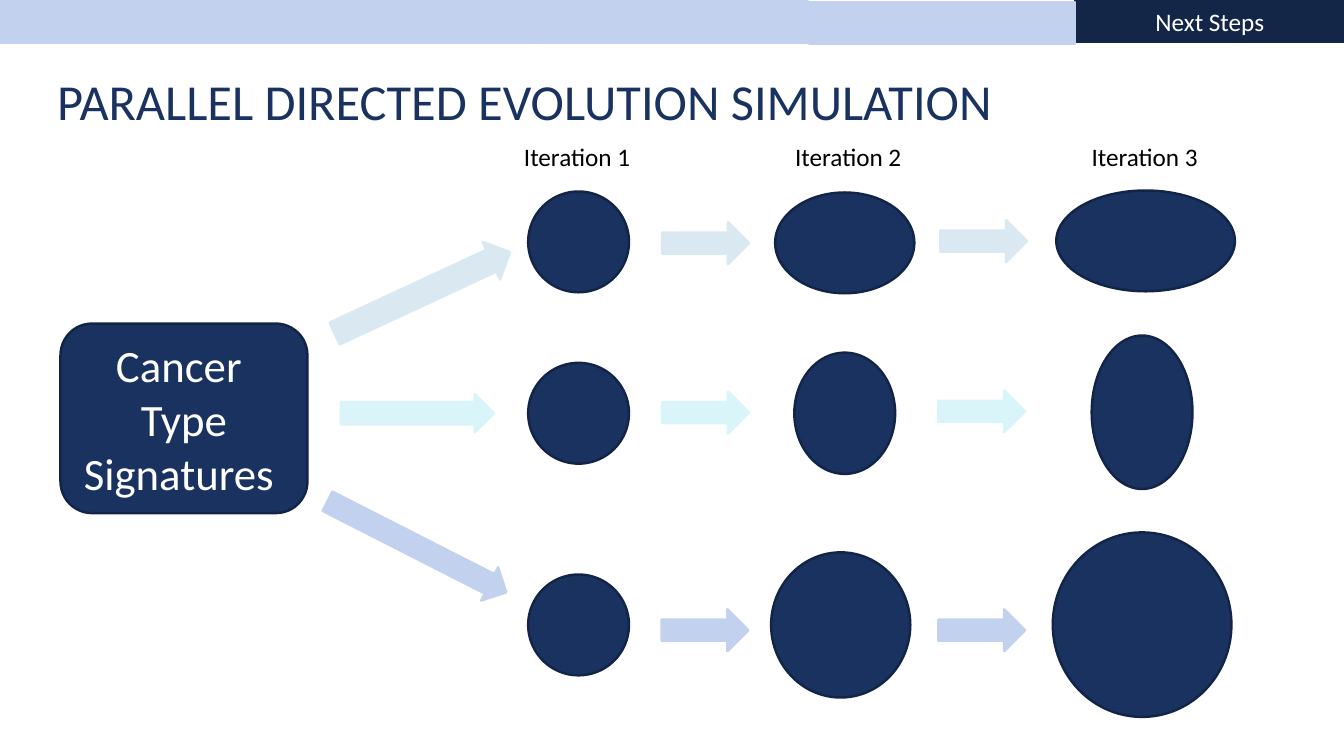
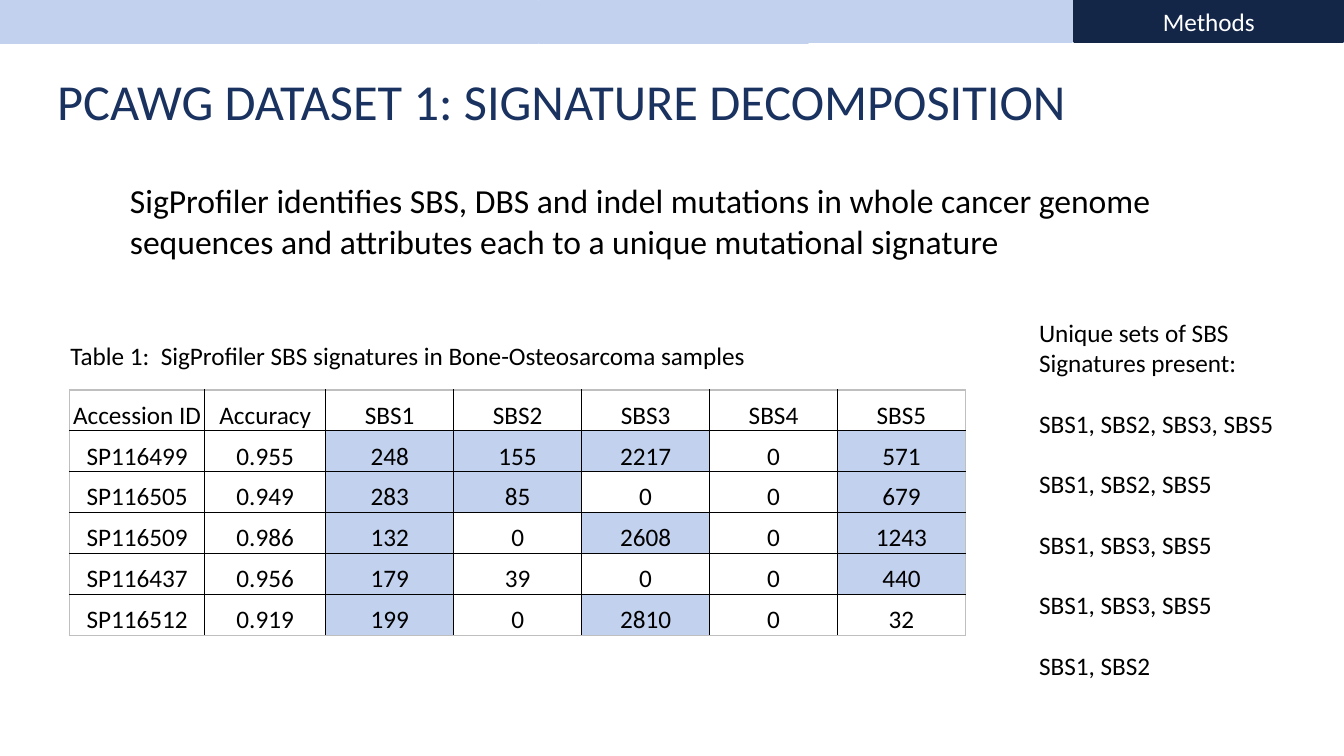
from lxml.etree import SubElement
from pptx import Presentation
from pptx.dml.color import RGBColor
from pptx.enum.shapes import MSO_SHAPE as Shape
from pptx.enum.text import MSO_ANCHOR as Anchor, PP_ALIGN as Align
from pptx.oxml.ns import qn
from pptx.util import Pt

FONT = "Calibri"
COLORS = {
    "navy": "1A3260", "navy_edge": "132547", "tab": "142648",
    "periwinkle": "C2D1EE", "mist": "DAE9F1", "aqua": "DAF5FA",
    "white": "FFFFFF", "black": "000000", "grey": "BFBFBF",
}

BAND_HEIGHT = 30.2
BAND_STEP = 192.5
TAB_WIDTH = 192

ITERATION_LABELS = {"Iteration 1": 367.2, "Iteration 2": 560.9, "Iteration 3": 772.6}
ARROW_SIZE = (62, 30)
# Each lineage: arrow colour, entry arrow (left, top, width, height, rotation),
# stages (centre x, centre y, width, height), step arrows (left, centre y).
LINEAGES = [
    ("mist", (232.6, 194.4, 138.2, 29.5, 335.1),
     [(413.3, 172.8, 72, 72), (603.4, 173.5, 99.4, 72), (818.3, 172.1, 127.6, 72)],
     [(473, 173.7), (671.6, 172.2)]),
    ("aqua", (243.4, 281.5, 109.4, 27.4, 0),
     [(413.3, 295.2, 72, 72), (603.4, 295.2, 72, 86.6), (815.8, 294.5, 72, 109.6)],
     [(473, 294.8), (670.3, 293.8)]),
    ("periwinkle", (226.1, 377.3, 143.3, 26.6, 27),
     [(413.3, 446.4, 72, 72), (600.5, 446.4, 99.4, 103.7), (815.8, 446.2, 127.6, 131.8)],
     [(472.5, 450.2), (670.3, 450.2)]),
]

HEADINGS = ["Accession ID", "Accuracy", "SBS1", "SBS2", "SBS3", "SBS4", "SBS5"]
SAMPLES = [
    ("SP116499", "0.955", 248, 155, 2217, 0, 571),
    ("SP116505", "0.949", 283, 85, 0, 0, 679),
    ("SP116509", "0.986", 132, 0, 2608, 0, 1243),
    ("SP116437", "0.956", 179, 39, 0, 0, 440),
    ("SP116512", "0.919", 199, 0, 2810, 0, 32),
]
COLUMN_WIDTHS = [96.5, 86.5] + [91.4] * 5
ROW_HEIGHT = 29.2
PRESENT_FROM = 50  # lowest count that marks a signature as present

SIGNATURE_SETS = [
    "Unique sets of SBS", "Signatures present:",
    "SBS1, SBS2, SBS3, SBS5", "SBS1, SBS2, SBS5", "SBS1, SBS3, SBS5",
    "SBS1, SBS3, SBS5", "SBS1, SBS2",
]


def rgb(color):
    return RGBColor.from_string(COLORS[color])


def write(frame, *lines, size=18, color="black", align=Align.LEFT, gap=0, gap_from=1):
    """Write one paragraph a line, with gap before each from gap_from on."""
    for i, line in enumerate(lines):
        paragraph = frame.paragraphs[0] if i == 0 else frame.add_paragraph()
        paragraph.alignment = align
        if gap and i >= gap_from:
            paragraph.space_before = Pt(gap)
        run = paragraph.add_run()
        run.text = line
        run.font.name = FONT
        run.font.size = Pt(size)
        run.font.color.rgb = rgb(color)


def add_text(slide, box, *lines, wrap=True, anchor=Anchor.TOP, **style):
    frame = slide.shapes.add_textbox(*map(Pt, box)).text_frame
    frame.word_wrap = wrap
    frame.vertical_anchor = anchor
    write(frame, *lines, **style)


def add_block(slide, preset, box, fill, edge=None, lines=(), size=18):
    block = slide.shapes.add_shape(preset, *map(Pt, box))
    block.shadow.inherit = False
    block.fill.solid()
    block.fill.fore_color.rgb = rgb(fill)
    block.line.color.rgb = rgb(edge or fill)
    block.line.width = Pt(1.75)
    if lines:
        block.text_frame.vertical_anchor = Anchor.MIDDLE
        write(block.text_frame, *lines, size=size, color="white", align=Align.CENTER)
    return block


def add_stage(slide, center_x, center_y, width, height):
    box = (center_x - width / 2, center_y - height / 2, width, height)
    add_block(slide, Shape.OVAL, box, "navy", "navy_edge")


def start_slide(deck, title, section, tab_left, last_band):
    """Add a slide with its section band, section tab and title."""
    slide = deck.slides.add_slide(deck.slide_layouts[6])
    for i in range(3):
        add_block(slide, Shape.RECTANGLE, (i * BAND_STEP, 0.7, TAB_WIDTH, BAND_HEIGHT),
                  "periwinkle")
    add_block(slide, Shape.RECTANGLE, (tab_left, 0, TAB_WIDTH, BAND_HEIGHT), "tab",
              lines=[section])
    add_block(slide, Shape.RECTANGLE, (*last_band, 190, BAND_HEIGHT), "periwinkle")
    add_text(slide, (33.8, 46.8, 883.4, 50.4), title, size=36, color="navy",
             anchor=Anchor.BOTTOM)
    return slide


def set_borders(cell, edges):
    for side, color in edges.items():
        line = SubElement(cell._tc.get_or_add_tcPr(), qn(f"a:ln{side}"), w=str(Pt(1)))
        fill = SubElement(line, qn("a:solidFill"))
        SubElement(fill, qn("a:srgbClr"), val=COLORS[color])


def add_signature_table(slide):
    rows = [HEADINGS, *SAMPLES]
    last_row, last_column = len(rows) - 1, len(HEADINGS) - 1
    table = slide.shapes.add_table(
        len(rows), len(HEADINGS), Pt(49.7), Pt(278.6),
        Pt(sum(COLUMN_WIDTHS)), Pt(ROW_HEIGHT * len(rows))).table
    table.first_row = table.horz_banding = False
    for column, width in zip(table.columns, COLUMN_WIDTHS):
        column.width = Pt(width)
    for r, values in enumerate(rows):
        table.rows[r].height = Pt(ROW_HEIGHT)
        for c, value in enumerate(values):
            cell = table.cell(r, c)
            cell.margin_left = cell.margin_right = cell.margin_top = Pt(0.7)
            cell.margin_bottom = 0
            cell.vertical_anchor = Anchor.BOTTOM
            outer = {"L": c == 0, "R": c == last_column, "T": r == 0, "B": r == last_row}
            set_borders(cell, {side: "grey" if at_rim else "black"
                               for side, at_rim in outer.items()})
            if isinstance(value, int) and value >= PRESENT_FROM:
                cell.fill.solid()
                cell.fill.fore_color.rgb = rgb("periwinkle")
            else:
                cell.fill.background()
            write(cell.text_frame, str(value), align=Align.CENTER)


def build_simulation(deck):
    slide = start_slide(deck, "PARALLEL DIRECTED EVOLUTION SIMULATION", "Next Steps",
                        768.2, (578, 1.4))
    add_block(slide, Shape.ROUNDED_RECTANGLE, (43.2, 231.1, 176.4, 135.4), "navy",
              "navy_edge", ["Cancer ", "Type Signatures "], size=32)
    for color, (*entry_box, rotation), stages, steps in LINEAGES:
        entry = add_block(slide, Shape.RIGHT_ARROW, entry_box, color)
        entry.adjustments[0] = 0.58
        entry.rotation = rotation
        for stage in stages:
            add_stage(slide, *stage)
        for left, center_y in steps:
            add_block(slide, Shape.RIGHT_ARROW,
                      (left, center_y - ARROW_SIZE[1] / 2, *ARROW_SIZE), color)
    for label, left in ITERATION_LABELS.items():
        add_text(slide, (left, 97.2, 92.2, 29), label, wrap=False)


def build_decomposition(deck):
    slide = start_slide(deck, "PCAWG DATASET 1: SIGNATURE DECOMPOSITION", "Methods",
                        767.5, (575.3, 0))
    add_text(slide, (85.7, 125.3, 788.4, 65.5),
             "SigProfiler identifies SBS, DBS and indel mutations in whole cancer genome "
             "sequences and attributes each to a unique mutational signature", size=24)
    add_text(slide, (43.2, 239.8, 640, 29),
             "Table 1:  SigProfiler SBS signatures in Bone-Osteosarcoma samples")
    add_signature_table(slide)
    add_text(slide, (735.1, 223.2, 237.6, 269.3), *SIGNATURE_SETS, gap=21.6, gap_from=2)


def main():
    deck = Presentation()
    deck.slide_width, deck.slide_height = Pt(960), Pt(540)
    build_simulation(deck)
    build_decomposition(deck)
    deck.save("out.pptx")


if __name__ == "__main__":
    main()
